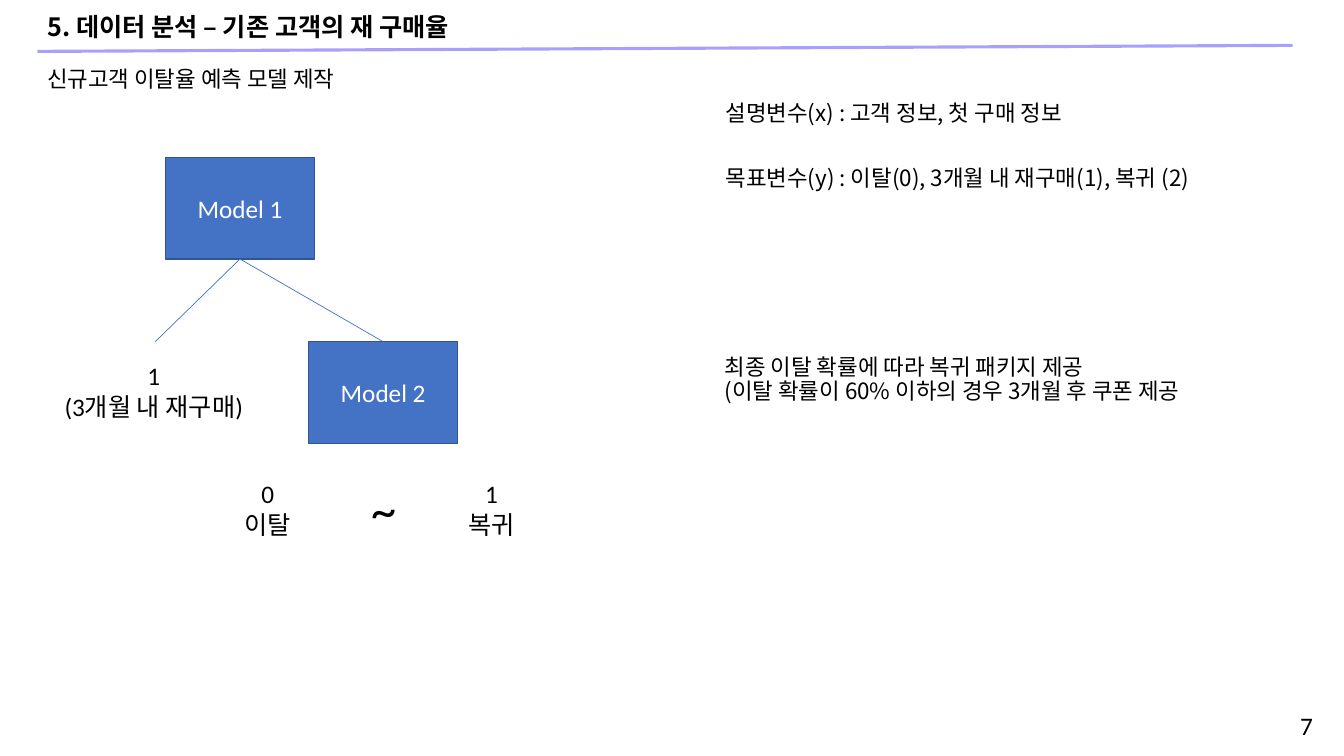
"""Build the slide on the model that predicts customer churn."""
from lxml import etree
from pptx import Presentation
from pptx.dml.color import RGBColor
from pptx.enum.shapes import MSO_CONNECTOR, MSO_SHAPE
from pptx.enum.text import MSO_ANCHOR, MSO_AUTO_SIZE, PP_ALIGN
from pptx.oxml.ns import qn
from pptx.util import Emu, Pt

LEFT, MID, RIGHT = PP_ALIGN.LEFT, PP_ALIGN.CENTER, PP_ALIGN.RIGHT
TOP, CENTER = MSO_ANCHOR.TOP, MSO_ANCHOR.MIDDLE
FIXED, GROW = MSO_AUTO_SIZE.NONE, MSO_AUTO_SIZE.SHAPE_TO_FIT_TEXT
RECT, STRAIGHT = MSO_SHAPE.RECTANGLE, MSO_CONNECTOR.STRAIGHT
SCALE = 9144
LATIN, KOREAN = "Calibri", "Noto Sans CJK KR"
BLACK, WHITE, BLUE, EDGE, LILAC = "000000", "FFFFFF", "4472C4", "325491", "A9A0FC"

TITLE = ("5. 데이터 분석 – 기존 고객의 재 구매율", (37, 8, 914, 41))
RULE = (37, 51, 1282, 45)
NOTES = [
    (["신규고객 이탈율 예측 모델 제작"], (37, 64, 1249, 31)),
    (["설명변수(x) : 고객 정보, 첫 구매 정보"], (710, 64, 586, 98)),
    (["목표변수(y) : 이탈(0), 3개월 내 재구매(1), 복귀 (2)"], (710, 129, 586, 98)),
    (["최종 이탈 확률에 따라 복귀 패키지 제공",
      "(이탈 확률이 60% 이하의 경우 3개월 후 쿠폰 제공"], (709, 328, 586, 98)),
]
MODELS = [("Model 1", 164, 156), ("Model 2", 306, 339)]
WIDE, HIGH = 148, 101
LEAF = 154
LABELS = [
    (["1", "(3개월 내 재구매)"], (39, 353, 227, 71), 18, MID, TOP),
    (["0", "이탈"], (188, 470, 155, 71), 18, MID, TOP),
    (["1", "복귀"], (410, 470, 155, 71), 18, MID, TOP),
    (["~"], (303, 442, 155, 125), 36, MID, CENTER),
    (["7"], (1214, 700, 98, 41), 18, RIGHT, TOP),
]


def px(*nums):
    return [Emu(n * SCALE) for n in nums]


def tint(code):
    return RGBColor.from_string(code)


def write(shape, lines, size, face, color=BLACK, align=LEFT, anchor=CENTER,
          fit=FIXED, bold=False, space=1.0):
    frame = shape.text_frame
    frame.word_wrap = True
    frame.auto_size = fit
    frame.vertical_anchor = anchor
    for i, line in enumerate(lines):
        para = frame.add_paragraph() if i else frame.paragraphs[0]
        para.alignment = align
        para.line_spacing = space
        para.space_before = Pt(0)
        run = para.add_run()
        run.text = line
        font = run.font
        font.size, font.name, font.bold = Pt(size), face, bold
        font.color.rgb = tint(color)
        if face == KOREAN:
            props = run._r.get_or_add_rPr()
            etree.SubElement(props, qn("a:ea")).set("typeface", face)


def link(shapes, ends, color, width):
    line = shapes.add_connector(STRAIGHT, *px(*ends))
    line.line.color.rgb = tint(color)
    line.line.width = Pt(width)
    etree.SubElement(line._element.spPr, qn("a:effectLst"))


def block(shapes, name, left, top):
    box = shapes.add_shape(RECT, *px(left, top, WIDE, HIGH))
    box.shadow.inherit = False
    box.fill.solid()
    box.fill.fore_color.rgb = tint(BLUE)
    box.line.color.rgb = tint(EDGE)
    box.line.width = Pt(1)
    write(box, [name], 18, LATIN, WHITE, MID)


def main():
    deck = Presentation()
    deck.slide_width, deck.slide_height = px(1333, 750)
    shapes = deck.slides.add_slide(deck.slide_layouts[5]).shapes

    text, area = TITLE
    head = shapes.title
    head.left, head.top, head.width, head.height = px(*area)
    write(head, [text], 18, KOREAN, bold=True, space=0.9)
    link(shapes, RULE, LILAC, 2.25)

    for lines, area in NOTES:
        write(shapes.add_textbox(*px(*area)), lines, 16, KOREAN, space=0.9)

    for model in MODELS:
        block(shapes, *model)
    (_, left, top), (_, next_left, next_top) = MODELS
    for end in (LEAF, next_left + WIDE // 2):
        link(shapes, (left + WIDE // 2, top + HIGH, end, next_top), BLUE, 0.5)

    for lines, area, size, align, anchor in LABELS:
        box = shapes.add_textbox(*px(*area))
        write(box, lines, size, LATIN, align=align, anchor=anchor, fit=GROW)

    deck.save("out.pptx")


if __name__ == "__main__":
    main()
